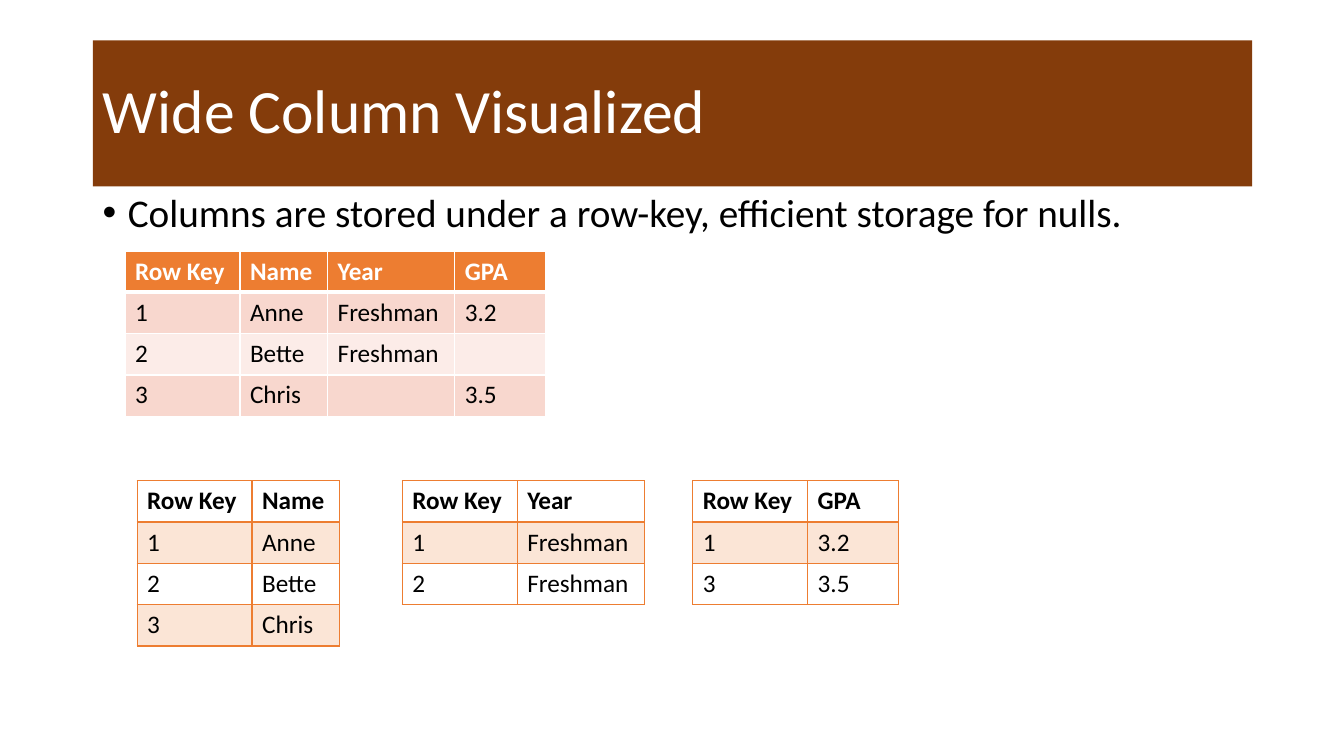
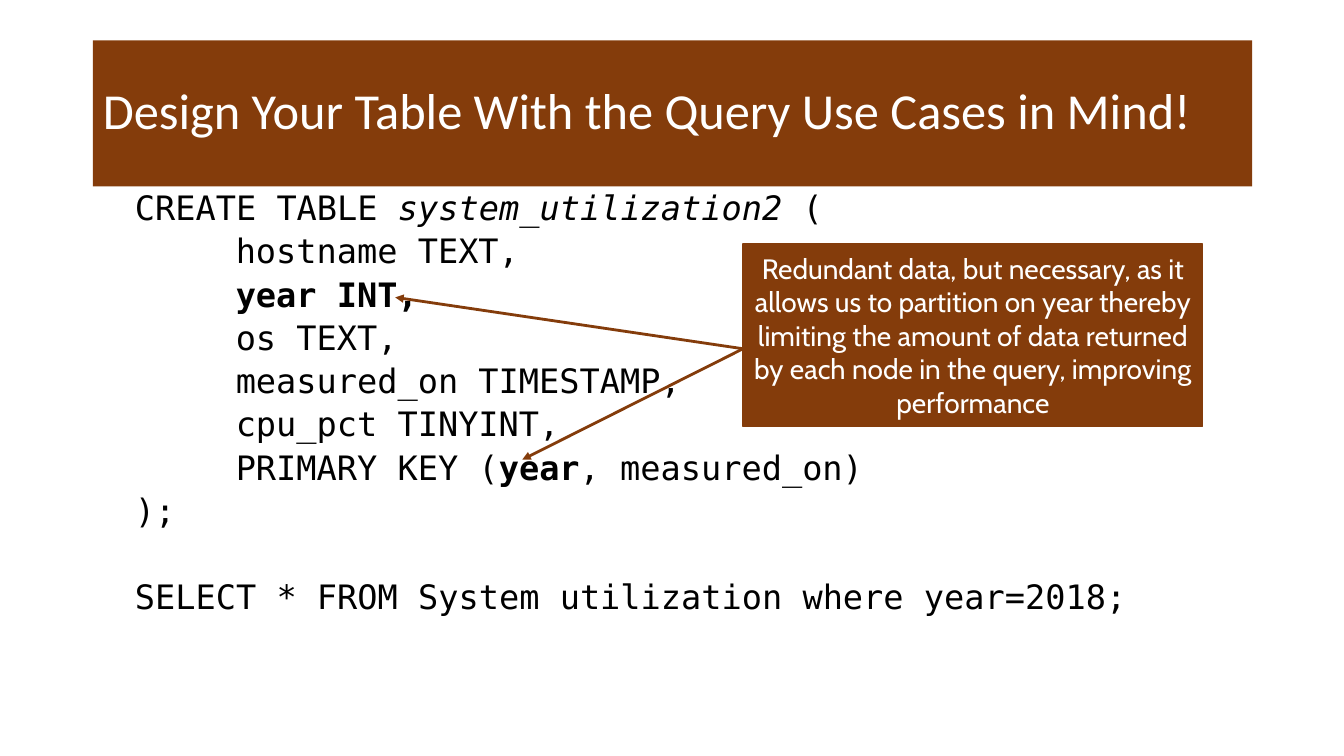
from lxml import etree
from pptx import Presentation
from pptx.dml.color import RGBColor
from pptx.enum.shapes import MSO_CONNECTOR, MSO_SHAPE
from pptx.enum.text import MSO_ANCHOR, PP_ALIGN
from pptx.oxml.ns import qn
from pptx.util import Inches, Pt

LEFT, CENTER = PP_ALIGN.LEFT, PP_ALIGN.CENTER
MIDDLE = MSO_ANCHOR.MIDDLE
RECTANGLE, PROCESS = MSO_SHAPE.RECTANGLE, MSO_SHAPE.FLOWCHART_PROCESS
STRAIGHT = MSO_CONNECTOR.STRAIGHT
TITLE_ONLY = 5

BROWN, ORANGE, WHITE, BLACK = "843C0B", "ED7D31", "FFFFFF", "000000"
ROSE, PALE_ROSE, PEACH = "F8D7CE", "FCECE8", "FBE5D6"
BODY_FONT, CODE_FONT, CALLOUT_FONT = "Calibri", "DejaVu Sans Mono", "Cabin"
CONTENT_LEFT, CONTENT_WIDTH = 0.92, 11.5

# Content: wide column slide
WIDE_TITLE = "Wide Column Visualized"
WIDE_POINT = "Columns are stored under a row-key, efficient storage for nulls."
COLUMN_WIDTHS = {"Row Key": 1.14, "Name": 0.87, "Year": 1.26, "GPA": 0.9}
RECORDS = [
    ("1", "Anne", "Freshman", "3.2"),
    ("2", "Bette", "Freshman", ""),
    ("3", "Chris", "", "3.5"),
]
FULL_TABLE_AT = (1.24, 2.49)
SPLIT_TABLE_TOP = 4.77
SPLIT_TABLE_LEFTS = {"Name": 1.36, "Year": 3.99, "GPA": 6.87}
ROW_HEIGHT = 0.41
FULL_STYLE = {"header_fill": ORANGE, "header_text": WHITE, "bands": (ROSE, PALE_ROSE),
              "border": WHITE, "header_rule": 3}
SPLIT_STYLE = {"header_fill": None, "header_text": BLACK, "bands": (PEACH, None),
               "border": ORANGE, "header_rule": 2}

# Content: table design slide; each line is (indent, space before, [(text, style)])
DESIGN_TITLE = "Design Your Table With the Query Use Cases in Mind!"
CODE_LINES = [
    (0, 5, [("CREATE TABLE ", ""), ("system_utilization2", "italic"), (" (", "")]),
    (1, 5, [("hostname TEXT,", "")]),
    (1, 5, [("year INT,", "bold")]),
    (1, 5, [("os TEXT,", "")]),
    (1, 5, [("measured_on TIMESTAMP,", "")]),
    (1, 5, [("cpu_pct TINYINT,", "")]),
    (1, 5, [("PRIMARY KEY (", ""), ("year", "bold"), (", measured_on)", "")]),
    (0, 5, [(");", "")]),
    (0, 36, [("SELECT * FROM System utilization where year=2018;", "")]),
]
CALLOUT = ("Redundant data, but necessary, as it allows us to partition on year thereby "
           "limiting the amount of data returned by each node in the query, improving "
           "performance")
CALLOUT_BOX = (7.37, 2.42, 4.56, 1.81)
ARROW_START = (7.37, 3.46)
ARROW_ENDS = [(3.92, 2.95), (5.18, 4.56)]


def color(value):
    return RGBColor.from_string(value)


def lengths(*values):
    return [Inches(value) for value in values]


def style_run(run, size, font=BODY_FONT, text_color=BLACK, bold=False, italic=False):
    run.font.size, run.font.name = Pt(size), font
    run.font.color.rgb = color(text_color)
    run.font.bold, run.font.italic = bold, italic


def paint(target, fill):
    if fill:
        target.fill.solid()
        target.fill.fore_color.rgb = color(fill)
    else:
        target.fill.background()


def add_titled_slide(presentation, text, size):
    slide = presentation.slides.add_slide(presentation.slide_layouts[TITLE_ONLY])
    title = slide.shapes.title
    title.left, title.top, title.width, title.height = lengths(
        CONTENT_LEFT, 0.4, CONTENT_WIDTH, 1.45)
    paint(title, BROWN)
    title.text_frame.text = text
    title.text_frame.vertical_anchor = MIDDLE
    paragraph = title.text_frame.paragraphs[0]
    paragraph.alignment, paragraph.line_spacing = LEFT, 0.9
    style_run(paragraph.runs[0], size, text_color=WHITE)
    return slide


def add_body(slide, top):
    box = slide.shapes.add_textbox(*lengths(CONTENT_LEFT, top, CONTENT_WIDTH, 4.91))
    box.text_frame.word_wrap = True
    return box.text_frame


def set_indent(paragraph, margin, first_line=0):
    properties = paragraph._p.get_or_add_pPr()
    properties.set("marL", str(Inches(margin)))
    properties.set("indent", str(Inches(first_line)))
    return properties


def set_border(cell, side, line_color, width):
    properties = cell._tc.get_or_add_tcPr()
    line = etree.SubElement(properties, qn("a:ln" + side), w=str(Pt(width)))
    fill = etree.SubElement(line, qn("a:solidFill"))
    etree.SubElement(fill, qn("a:srgbClr"), val=line_color)


def add_data_table(slide, left, top, names, rows, style):
    widths = [COLUMN_WIDTHS[name] for name in names]
    lines = [names] + rows
    table = slide.shapes.add_table(
        len(lines), len(names),
        *lengths(left, top, sum(widths), ROW_HEIGHT * len(lines))).table
    table.horz_banding = False
    for column, width in zip(table.columns, widths):
        column.width = Inches(width)
    for row_index, line in enumerate(lines):
        table.rows[row_index].height = Inches(ROW_HEIGHT)
        header = row_index == 0
        fill = style["header_fill"] if header else style["bands"][(row_index - 1) % 2]
        # The heavy rule lies between the header and the first record
        rule_side = {0: "B", 1: "T"}.get(row_index)
        for column_index, text in enumerate(line):
            cell = table.cell(row_index, column_index)
            for side in "LRTB":
                width = style["header_rule"] if side == rule_side else 1
                set_border(cell, side, style["border"], width)
            paint(cell, fill)
            cell.text_frame.text = text
            for run in cell.text_frame.paragraphs[0].runs:
                style_run(run, 18, bold=header,
                          text_color=style["header_text"] if header else BLACK)


def add_arrow(slide, start, end):
    arrow = slide.shapes.add_connector(STRAIGHT, *lengths(*start, *end))
    arrow.line.color.rgb = color(BROWN)
    arrow.line.width = Pt(2)
    etree.SubElement(arrow.line._get_or_add_ln(), qn("a:tailEnd"), type="triangle")
    etree.SubElement(arrow._element.spPr, qn("a:effectLst"))


def build_wide_column_slide(presentation):
    slide = add_titled_slide(presentation, WIDE_TITLE, 44)
    frame = add_body(slide, 1.87)
    frame.text = WIDE_POINT
    paragraph = frame.paragraphs[0]
    paragraph.line_spacing, paragraph.space_before = 0.9, Pt(10)
    properties = set_indent(paragraph, 0.25, -0.25)
    etree.SubElement(properties, qn("a:buFont"), typeface="Arial")
    etree.SubElement(properties, qn("a:buChar"), char="•")
    style_run(paragraph.runs[0], 28)

    # The full table, then one table per column without its nulls
    names = list(COLUMN_WIDTHS)
    add_data_table(slide, *FULL_TABLE_AT, names, RECORDS, FULL_STYLE)
    for name, left in SPLIT_TABLE_LEFTS.items():
        index = names.index(name)
        rows = [(record[0], record[index]) for record in RECORDS if record[index]]
        add_data_table(slide, left, SPLIT_TABLE_TOP, [names[0], name], rows, SPLIT_STYLE)


def build_design_slide(presentation):
    slide = add_titled_slide(presentation, DESIGN_TITLE, 36)
    frame = add_body(slide, 1.85)
    for index, (indent, space, parts) in enumerate(CODE_LINES):
        paragraph = frame.add_paragraph() if index else frame.paragraphs[0]
        paragraph.line_spacing, paragraph.space_before = 0.9, Pt(space)
        set_indent(paragraph, 0.32 + indent)
        for text, emphasis in parts:
            run = paragraph.add_run()
            run.text = text
            style_run(run, 24, CODE_FONT, bold=emphasis == "bold",
                      italic=emphasis == "italic")

    # Callout with arrows to both uses of the year column
    callout = slide.shapes.add_shape(PROCESS, *lengths(*CALLOUT_BOX))
    callout.shadow.inherit = False
    paint(callout, BROWN)
    callout.line.color.rgb = color(BROWN)
    callout.line.width = Pt(1)
    callout.text_frame.text = CALLOUT
    callout.text_frame.word_wrap = True
    callout.text_frame.vertical_anchor = MIDDLE
    paragraph = callout.text_frame.paragraphs[0]
    paragraph.alignment = CENTER
    style_run(paragraph.runs[0], 20, CALLOUT_FONT, WHITE)
    for end in ARROW_ENDS:
        add_arrow(slide, ARROW_START, end)


def main():
    presentation = Presentation()
    presentation.slide_width, presentation.slide_height = lengths(13.33, 7.5)
    build_wide_column_slide(presentation)
    build_design_slide(presentation)
    presentation.save("out.pptx")


if __name__ == "__main__":
    main()
